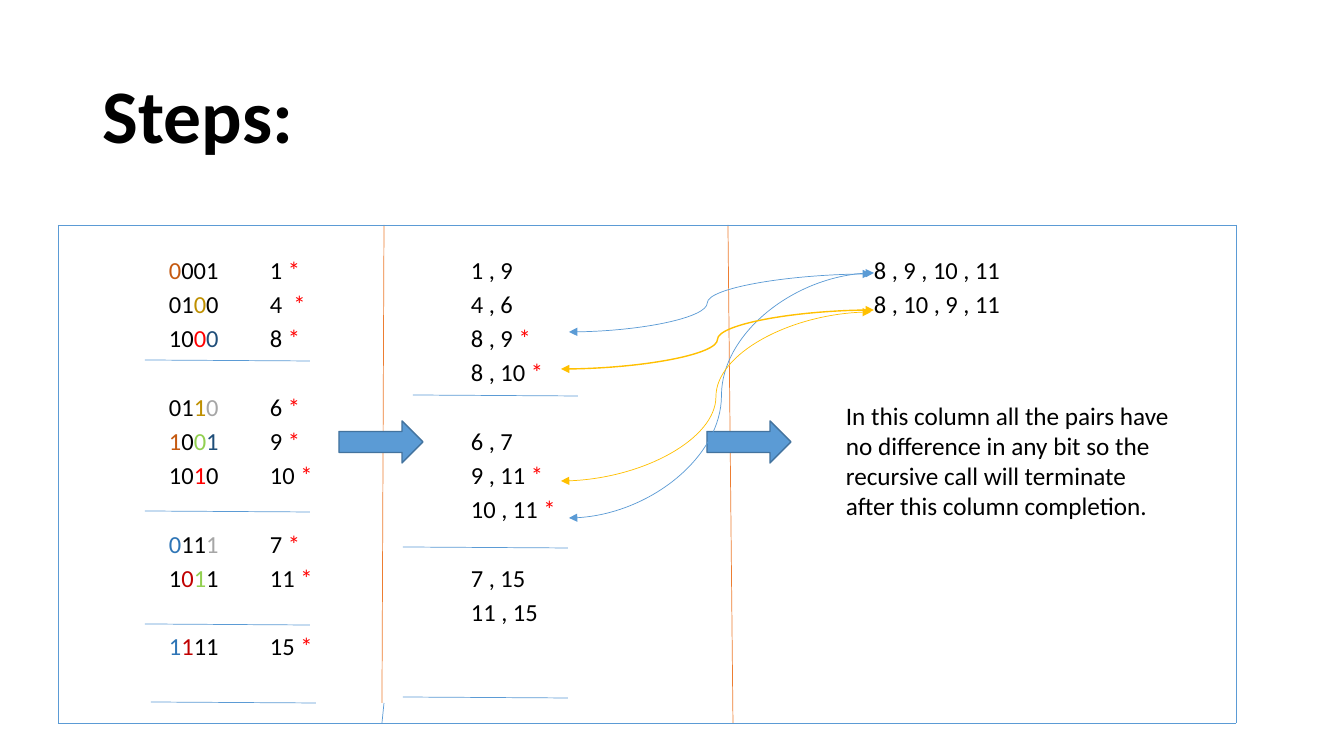
from itertools import groupby

from lxml.etree import SubElement
from pptx import Presentation
from pptx.dml.color import RGBColor
from pptx.enum.shapes import MSO_CONNECTOR, MSO_SHAPE
from pptx.enum.text import MSO_ANCHOR
from pptx.oxml.ns import qn
from pptx.util import Pt

EMU_PER_PX = 914400 / 100.8

BLACK = RGBColor(0x00, 0x00, 0x00)
RED = RGBColor(0xFF, 0x00, 0x00)
DARK_RED = RGBColor(0xC0, 0x00, 0x00)
RUST = RGBColor(0xC5, 0x5A, 0x11)
ORANGE = RGBColor(0xED, 0x7D, 0x31)
OCHRE = RGBColor(0xBF, 0x90, 0x00)
GOLD = RGBColor(0xFF, 0xC0, 0x00)
GREEN = RGBColor(0x92, 0xD0, 0x50)
GREY = RGBColor(0xA6, 0xA6, 0xA6)
NAVY = RGBColor(0x1F, 0x4E, 0x79)
BLUE = RGBColor(0x2E, 0x75, 0xB6)
SKY = RGBColor(0x5B, 0x9B, 0xD5)
STEEL = RGBColor(0x43, 0x73, 0x9E)

COLUMN_STOPS = [101, 202, 403, 806]
STEPS = [
    (("0001", "1 *", "1 , 9", "8 , 9 , 10 , 11"), {0: RUST}),
    (("0100", "4  *", "4 , 6", "8 , 10 , 9 , 11"), {2: OCHRE}),
    (("1000", "8 *", "8 , 9 *"), {2: RED, 3: NAVY}),
    (("", "", "8 , 10 *"), {}),
    (("0110", "6 *"), {2: OCHRE, 3: GREY}),
    (("1001", "9 *", "6 , 7"), {0: RUST, 2: GREEN, 3: NAVY}),
    (("1010", "10 *", "9 , 11 *"), {2: RED}),
    (("", "", "10 , 11 *"), {}),
    (("0111", "7 *"), {0: BLUE, 3: GREY}),
    (("1011", "11 *", "7 , 15"), {1: DARK_RED, 2: GREEN}),
    (("", "", "11 , 15"), {}),
    (("1111", "15 *"), {0: BLUE, 1: DARK_RED}),
]
GROUP_ENDS = [(145, 360), (145, 511), (145, 624), (151, 702),
              (413, 395), (403, 547), (403, 697)]
GROUP_WIDTH = 165
LEFT, TOP, RIGHT, BOTTOM = 58, 225, 1236, 723
BORDERS = [
    (384, TOP, 382, 703, ORANGE),
    (728, TOP, 733, BOTTOM, ORANGE),
    (LEFT, TOP, RIGHT, TOP, SKY),
    (LEFT, TOP, LEFT, BOTTOM, SKY),
    (RIGHT, TOP, RIGHT, BOTTOM, SKY),
    (LEFT, BOTTOM, RIGHT, BOTTOM, SKY),
    (384, 703, 382, BOTTOM, SKY),
]
MERGES = [
    (569, 332, 871, 274, SKY, 0.5, 45800),
    (569, 518, 874, 273, SKY, 0.5, 50000),
    (561, 369, 874, 310, GOLD, 1, 50000),
    (561, 481, 871, 312, GOLD, 0.5, 50000),
]
NOTE = ("In this column all the pairs have no difference in any bit so the "
        "recursive call will terminate after this column completion.")


def px(length):
    """Turn whole pixels into EMU."""
    return round(length * EMU_PER_PX)


class StepsSlide:
    """Draws styled elements on one slide."""

    font_name = "Calibri"

    def __init__(self, slide):
        self.shapes = slide.shapes

    def style(self, run, size, color=BLACK, bold=False):
        run.font.name = self.font_name
        run.font.size = Pt(size)
        run.font.color.rgb = color
        run.font.bold = bold

    def frame(self, *box):
        frame = self.shapes.add_textbox(*map(px, box)).text_frame
        frame.word_wrap = True
        return frame

    def text(self, box, wording, size, bold=False, anchor=MSO_ANCHOR.TOP):
        frame = self.frame(*box)
        frame.text = wording
        frame.vertical_anchor = anchor
        self.style(frame.paragraphs[0].runs[0], size, bold=bold)

    def step_rows(self, box, steps, size):
        frame = self.frame(*box)
        for index, (cells, bit_colors) in enumerate(steps):
            row = frame.add_paragraph() if index else frame.paragraphs[0]
            row.line_spacing = 0.7
            row.space_before = Pt(9.75 if index else 0)
            stops = SubElement(row._p.get_or_add_pPr(), qn("a:tabLst"))
            for stop in COLUMN_STOPS:
                SubElement(stops, qn("a:tab"), pos=str(px(stop)), algn="l")
            wording = "\t" + "\t".join(cells)
            inks = [RED if letter == "*" else bit_colors.get(place - 1, BLACK)
                    for place, letter in enumerate(wording)]
            for ink, letters in groupby(zip(inks, wording), lambda pair: pair[0]):
                run = row.add_run()
                run.text = "".join(letter for _, letter in letters)
                self.style(run, size, ink)

    def line(self, x1, y1, x2, y2, color, width=0.5, kind=MSO_CONNECTOR.STRAIGHT):
        line = self.shapes.add_connector(kind, *map(px, (x1, y1, x2, y2)))
        line.line.color.rgb = color
        line.line.width = Pt(width)
        SubElement(line.element.spPr, qn("a:effectLst"))
        return line

    def merge(self, x1, y1, x2, y2, color, width, bend):
        curve = self.line(x1, y1, x2, y2, color, width, MSO_CONNECTOR.CURVE)
        stroke = curve.line._get_or_add_ln()
        for end in ("a:headEnd", "a:tailEnd"):
            SubElement(stroke, qn(end), type="triangle")
        guides = curve.element.spPr.find(".//" + qn("a:avLst"))
        SubElement(guides, qn("a:gd"), name="adj1", fmla=f"val {bend}")

    def block_arrow(self, *box):
        arrow = self.shapes.add_shape(MSO_SHAPE.RIGHT_ARROW, *map(px, box))
        arrow.shadow.inherit = False
        arrow.fill.solid()
        arrow.fill.fore_color.rgb = SKY
        arrow.line.color.rgb = STEEL
        arrow.line.width = Pt(1)


def main():
    deck = Presentation()
    deck.slide_width, deck.slide_height = px(1344), px(756)
    steps = StepsSlide(deck.slides.add_slide(deck.slide_layouts[6]))

    steps.text((93, 40, 1159, 146), "Steps:", 54, True, MSO_ANCHOR.MIDDLE)
    steps.step_rows((58, 258, 1159, 446), STEPS, 17.5)
    for x, y in GROUP_ENDS:
        steps.line(x, y, x + GROUP_WIDTH, y + 1, SKY)
    for border in BORDERS:
        steps.line(*border)
    for x in (339, 707):
        steps.block_arrow(x, 421, 84, 42)
    steps.text((836, 395, 349, 132), NOTE, 18)
    for merge in MERGES:
        steps.merge(*merge)

    deck.save("out.pptx")


if __name__ == "__main__":
    main()
